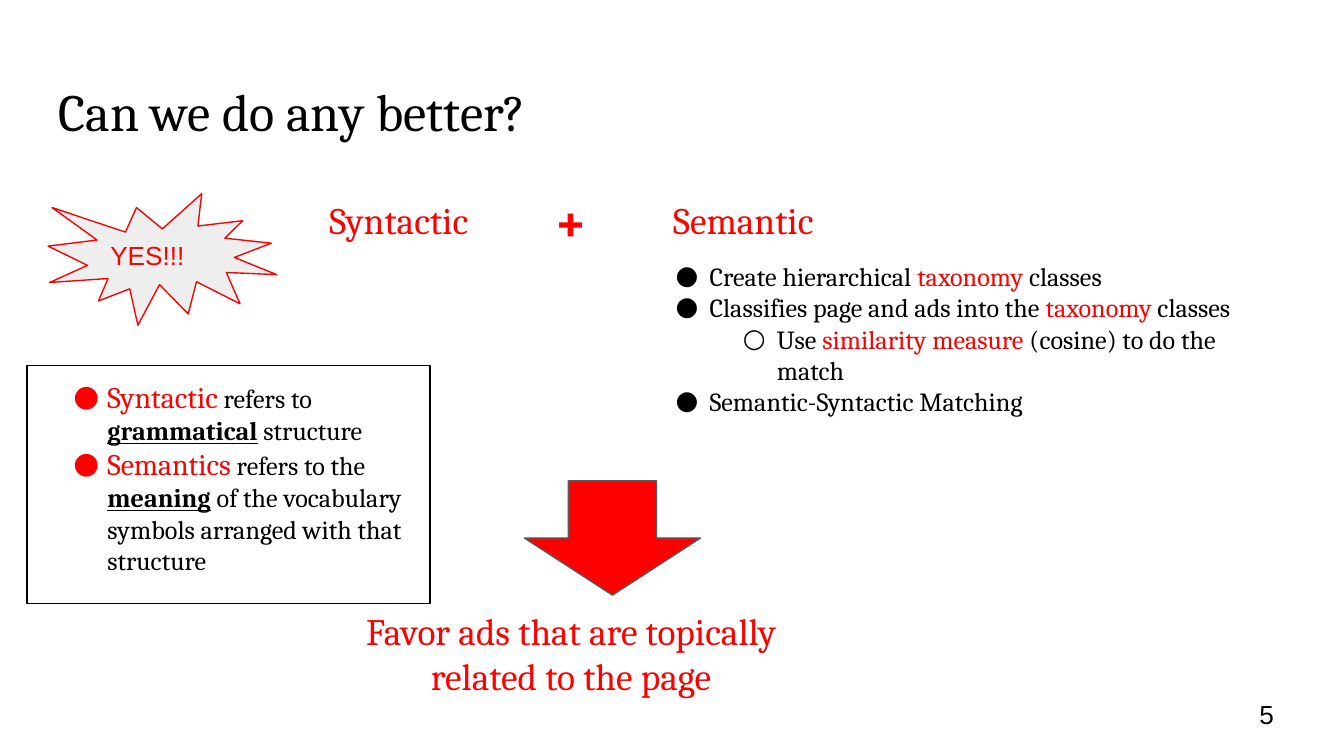
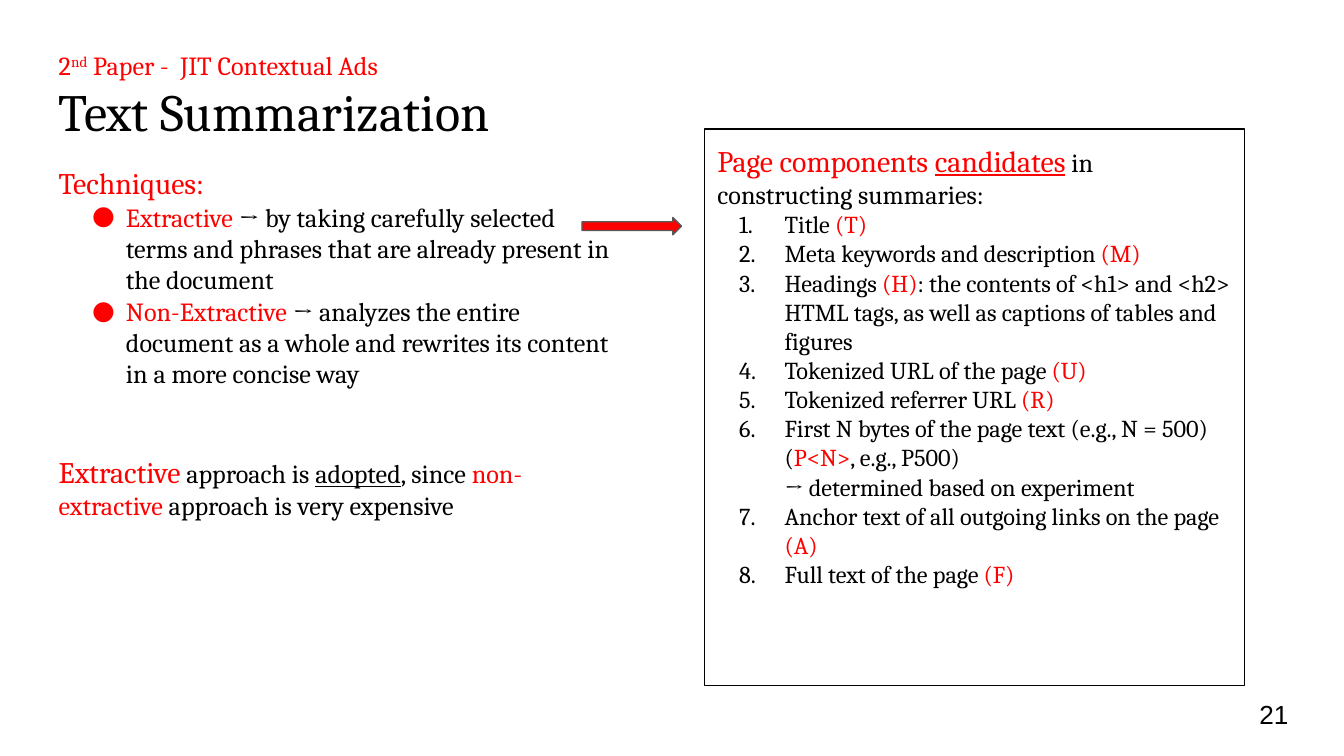
from lxml.etree import SubElement
from pptx import Presentation
from pptx.dml.color import RGBColor
from pptx.enum.shapes import MSO_SHAPE as Preset
from pptx.enum.text import MSO_ANCHOR as Anchor, MSO_AUTO_SIZE as AutoSize, PP_ALIGN as Align
from pptx.oxml.ns import qn
from pptx.util import Cm, Pt

COLORS = {"black": "000000", "red": "FF0000", "gray": "595959", "light": "EEEEEE"}
SERIF, SANS = "Cambria", "Arial"
LEFT = 0.86  # left edge shared by the title and the text below it
INSET = 0.25
LIST_INDENT = 1.27
BULLET_HANG, NUMBER_HANG = 0.64, 0.86


def color(name):
    return RGBColor.from_string(COLORS[name])


def red(text, **style):
    return text, {"color": "red", **style}


def black(text, **style):
    return text, {"color": "black", **style}


def line(*runs, size=14, bullet=None, level=0, ink="black", align=Align.LEFT):
    """Describe one paragraph; a bullet of "1." means automatic numbering."""
    return {"runs": runs, "size": size, "bullet": bullet, "level": level,
            "ink": ink, "align": align}


def set_bullet(paragraph, bullet, level, ink):
    properties = paragraph._p.get_or_add_pPr()
    if bullet is None:
        margin = hang = 0
        SubElement(properties, qn("a:buNone"))
    else:
        margin = LIST_INDENT * (level + 1)
        hang = NUMBER_HANG if bullet == "1." else BULLET_HANG
        bullet_color = SubElement(properties, qn("a:buClr"))
        SubElement(bullet_color, qn("a:srgbClr"), val=COLORS[ink])
        SubElement(properties, qn("a:buFont"), typeface=SERIF)
        if bullet == "1.":
            SubElement(properties, qn("a:buAutoNum"), type="arabicPeriod")
        else:
            SubElement(properties, qn("a:buChar"), char=bullet)
    properties.set("marL", str(Cm(margin)))
    properties.set("indent", str(-Cm(hang)))


def add_run(paragraph, text, style):
    run = paragraph.add_run()
    run.text = text
    if "color" in style:
        run.font.color.rgb = color(style["color"])
    if "size" in style:
        run.font.size = Pt(style["size"])
    if style.get("bold"):
        run.font.bold = True
    if style.get("underline"):
        run.font.underline = True
    if style.get("raised"):
        run.font._element.set("baseline", "30000")


def write(shape, lines, font=SERIF, anchor=Anchor.TOP):
    frame = shape.text_frame
    frame.word_wrap = True
    frame.auto_size = AutoSize.NONE
    frame.vertical_anchor = anchor
    frame.margin_left = frame.margin_right = Cm(INSET)
    frame.margin_top = frame.margin_bottom = Cm(INSET)
    for index, entry in enumerate(lines):
        paragraph = frame.add_paragraph() if index else frame.paragraphs[0]
        paragraph.level = entry["level"]
        set_bullet(paragraph, entry["bullet"], entry["level"], entry["ink"])
        paragraph.alignment = entry["align"]
        paragraph.space_before = Pt(0)
        paragraph.font.name = font
        paragraph.font.size = Pt(entry["size"])
        paragraph.font.color.rgb = color(entry["ink"])
        for item in entry["runs"]:
            if item == "\n":
                paragraph.add_line_break()
            else:
                text, style = (item, {}) if isinstance(item, str) else item
                add_run(paragraph, text, style)


def place(shape, left, top, width, height):
    shape.left, shape.top = Cm(left), Cm(top)
    shape.width, shape.height = Cm(width), Cm(height)


def add_text(slide, box, *lines, **options):
    shape = slide.shapes.add_textbox(*map(Cm, box))
    write(shape, lines, **options)


def add_heading(slide, box, text, size=20):
    """Centred red text."""
    add_text(slide, box, line(text, size=size, ink="red", align=Align.CENTER))


def add_preset(slide, preset, box, fill=None, outline="black"):
    shape = slide.shapes.add_shape(preset, *map(Cm, box))
    shape.shadow.inherit = False
    if fill:
        shape.fill.solid()
        shape.fill.fore_color.rgb = color(fill)
    else:
        shape.fill.background()
    shape.line.color.rgb = color(outline)
    shape.line.width = Pt(0.75)
    return shape


def add_red_arrow(slide, preset, box):
    add_preset(slide, preset, box, fill="red", outline="gray")


def add_panel(slide, box, *lines):
    write(add_preset(slide, Preset.RECTANGLE, box), lines)


def add_slide(presentation, title, number, body_box, *body_lines):
    slide = presentation.slides.add_slide(presentation.slide_layouts[1])
    place(slide.shapes.title, LEFT, 1.24, 16.23, 1.4)
    write(slide.shapes.title, [line(title, size=28)])
    body = slide.placeholders[1]
    place(body, *body_box)
    write(body, body_lines)
    add_text(slide, (23.55, 12.95, 1.52, 1.09), line(str(number)),
             font=SANS, anchor=Anchor.MIDDLE)
    return slide


def build_better_slide(presentation):
    slide = add_slide(
        presentation, "Can we do any better?", 5, (11.89, 4.67, 11.63, 4.27),
        line("Create hierarchical ", red("taxonomy"), " classes", bullet="●"),
        line("Classifies page and ads into the ", red("taxonomy"), " classes", bullet="●"),
        line("Use ", red("similarity measure"), " (cosine) to do the match",
             bullet="○", level=1),
        line("Semantic-Syntactic Matching", bullet="●"))
    add_heading(slide, (5.38, 3.48, 4.32, 1.4), "Syntactic")
    add_heading(slide, (11.89, 3.48, 4.32, 1.4), "Semantic")
    add_heading(slide, (10.03, 3.25, 1.52, 1.85), red("+", bold=True), size=30)
    add_heading(slide, (5.69, 11.25, 10.21, 2.16),
                "Favor ads that are topically related to the page")
    add_red_arrow(slide, Preset.DOWN_ARROW, (9.91, 9.09, 3.33, 2.16))
    burst = add_preset(slide, Preset.EXPLOSION1, (0.91, 3.66, 4.32, 2.49),
                       fill="light", outline="red")
    write(burst, [line("YES!!!", ink="red")], font=SANS, anchor=Anchor.MIDDLE)
    add_panel(
        slide, (0.51, 6.91, 7.62, 4.5),
        line(red("Syntactic", size=16), black(" refers to "),
             black("grammatical", bold=True, underline=True), black(" structure"),
             bullet="●", ink="red"),
        line(red("Semantics", size=16), black(" refers to the "),
             black("meaning", bold=True, underline=True),
             black(" of the vocabulary symbols arranged with that structure"),
             bullet="●", ink="red"))


def build_summarization_slide(presentation):
    slide = add_slide(
        presentation, "Text Summarization", 21, (LEFT, 2.87, 11.02, 5.23),
        line("Techniques:", size=16, ink="red"),
        line("Extractive", black(" → by taking carefully selected terms and phrases "
                                 "that are already present in the document"),
             bullet="●", ink="red"),
        line("Non-Extractive", black(" → analyzes the entire document as a whole and "
                                     "rewrites its content in a more concise way"),
             bullet="●", ink="red"))
    add_text(slide, (LEFT, 0.69, 10.21, 0.84),
             line("2", red("nd", raised=True), " Paper -  JIT Contextual Ads", ink="red"))
    add_text(slide, (LEFT, 8.33, 11.02, 2.46),
             line(red("Extractive", size=16), " approach is ",
                  black("adopted", underline=True), ", since ",
                  red("non-extractive"), " approach is very expensive"))
    components = [
        ("Title ", red("(T)")),
        ("Meta keywords and description ", red("(M)")),
        ("Headings ", red("(H)"), ": the contents of <h1> and <h2> HTML tags, "
                                  "as well as captions of tables and figures"),
        ("Tokenized URL of the page ", red("(U)")),
        ("Tokenized referrer URL ", red("(R)")),
        ("First N bytes of the page text (e.g., N = 500) (", red("P<N>"),
         ", e.g., P500)", "\n", "→ determined based on experiment"),
        ("Anchor text of all outgoing links on the page ", red("(A)")),
        ("Full text of the page ", red("(F)")),
    ]
    add_panel(
        slide, (13.31, 2.44, 10.21, 10.52),
        line(red("Page components ", size=16),
             red("candidates", size=16, underline=True),
             " in constructing summaries:"),
        *(line(*runs, size=13, bullet="1.") for runs in components))
    add_red_arrow(slide, Preset.RIGHT_ARROW, (11, 4.11, 1.88, 0.33))


def main():
    presentation = Presentation()
    presentation.slide_width, presentation.slide_height = Cm(25.4), Cm(14.29)
    build_better_slide(presentation)
    build_summarization_slide(presentation)
    presentation.save("out.pptx")


if __name__ == "__main__":
    main()
